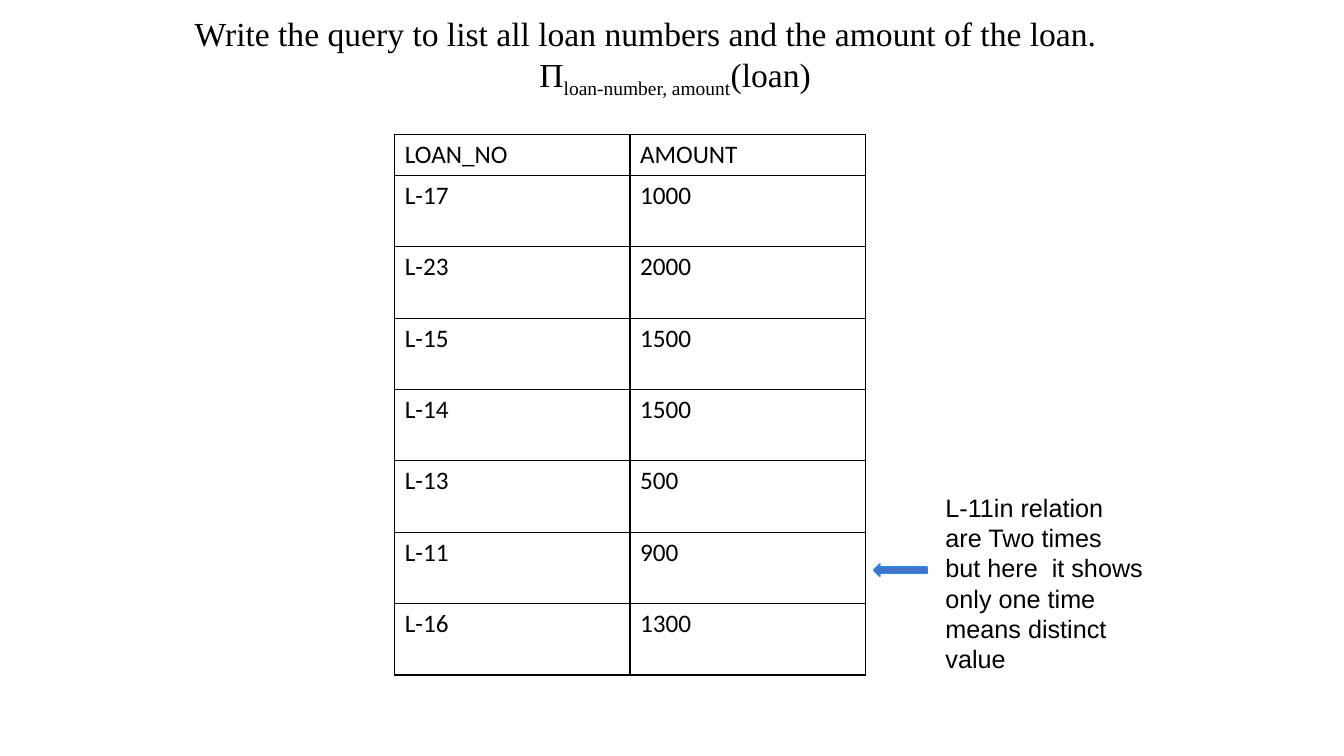
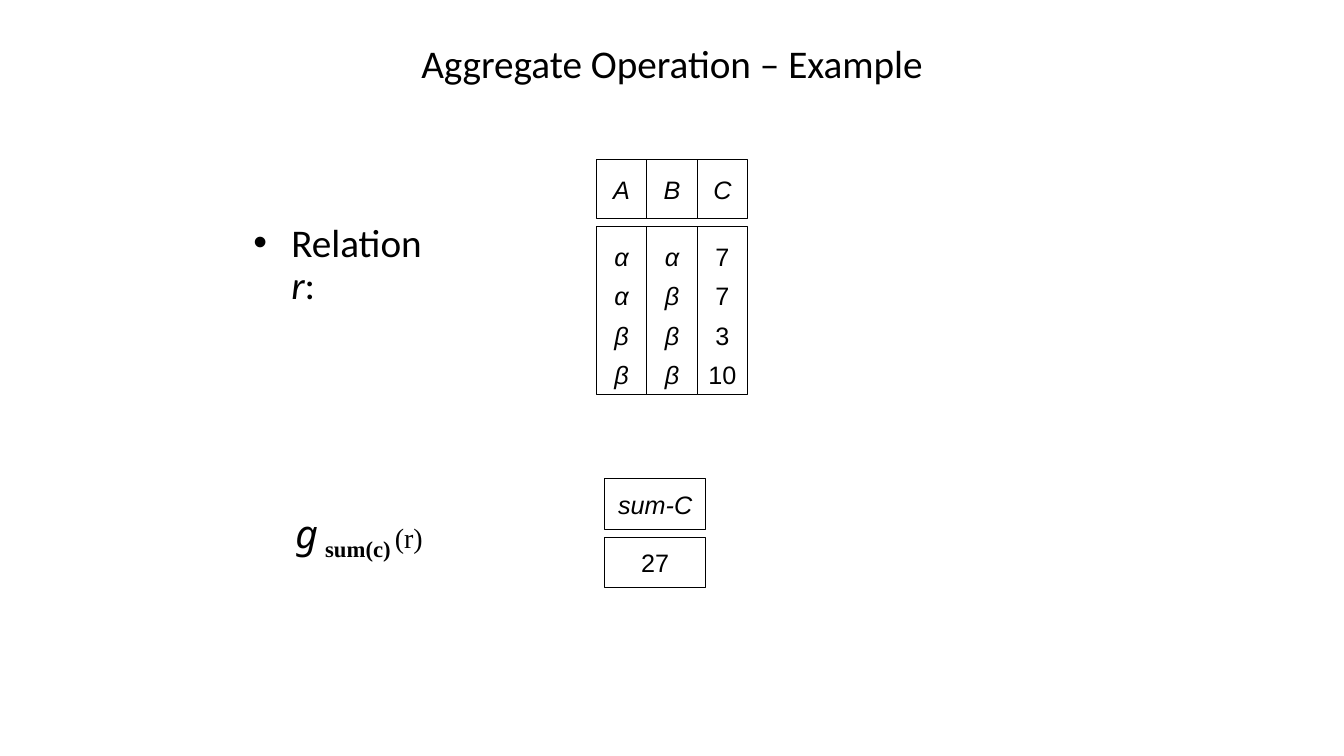
from lxml import etree
from pptx import Presentation
from pptx.dml.color import RGBColor
from pptx.enum.shapes import MSO_SHAPE
from pptx.enum.text import MSO_ANCHOR, PP_ALIGN
from pptx.oxml.ns import qn
from pptx.util import Pt

LEFT, CENTER, JUSTIFY = PP_ALIGN.LEFT, PP_ALIGN.CENTER, PP_ALIGN.JUSTIFY
TOP, MIDDLE = MSO_ANCHOR.TOP, MSO_ANCHOR.MIDDLE
RECT, ARROW = MSO_SHAPE.RECTANGLE, MSO_SHAPE.LEFT_ARROW
BLACK, WHITE, BLUE, EDGE = "000000", "FFFFFF", "4472C4", "2B88E5"
SANS, SERIF, BODY, SCRIPT = "Arial", "Times New Roman", "Calibri", "Noto Sans"
SCALE = 9525  # EMU in one px, 96 px to the inch
GAP = 8
HANG = 36

# A run is text, size, font, then any of: i italic, b bold, s subscript
QUERY = [
    (JUSTIFY, [("Write the query to list all loan numbers and the amount of the loan.",
                24, SERIF, "")]),
    (CENTER, [("Π", 24, SERIF, ""), ("loan-number, amount", 24, SERIF, "s"),
              ("(loan)", 24, SERIF, "")]),
]
LOANS = [
    ("LOAN_NO", "AMOUNT"), ("L-17", "1000"), ("L-23", "2000"), ("L-15", "1500"),
    ("L-14", "1500"), ("L-13", "500"), ("L-11", "900"), ("L-16", "1300"),
]
NOTE = [(LEFT, [("L-11in relation are Two times but here  it shows only one time "
                 "means distinct value", 18, SANS, "")])]

TITLE = [(CENTER, [("Aggregate Operation – Example", 28, BODY, "")])]
LABEL = [(LEFT, [("Relation ", 28, BODY, ""), ("r", 28, BODY, "i"), (":", 28, BODY, "")])]
SUM = [(LEFT, [("g", 28, SCRIPT, "i"), (" ", 20, SERIF, "b"), ("sum(c)", 28, SERIF, "bs"),
               (" ", 20, SERIF, "bs"), ("(r)", 20, SERIF, "")])]
RELATION = [("A", ["α", "α", "β", "β"]), ("B", ["α", "β", "β", "β"]),
            ("C", ["7", "7", "3", "10"])]
RESULT = [("sum-C", ["27"])]


def px(*sizes):
    return [size * SCALE for size in sizes]


def color(code):
    return RGBColor.from_string(code)


def write(frame, paras, space=None):
    for n, (align, runs) in enumerate(paras):
        para = frame.add_paragraph() if n else frame.paragraphs[0]
        para.alignment = align
        if space:
            para.line_spacing = space
        for text, size, face, style in runs:
            run = para.add_run()
            run.text = text
            font = run.font
            font.size, font.name = Pt(size), face
            font.italic, font.bold = "i" in style, "b" in style
            font.color.rgb = color(BLACK)
            if "s" in style:
                run._r.get_or_add_rPr().set("baseline", "-25000")


def add_text(slide, area, paras, anchor=TOP, space=None):
    frame = slide.shapes.add_textbox(*px(*area)).text_frame
    frame.word_wrap = True
    frame.vertical_anchor = anchor
    write(frame, paras, space)
    return frame


def hang(frame, bullet=None):
    """Give the first paragraph a hanging indent and perhaps a bullet."""
    props = frame.paragraphs[0]._p.get_or_add_pPr()
    props.set("marL", str(HANG * SCALE))
    props.set("indent", str(-HANG * SCALE))
    if bullet:
        etree.SubElement(props, qn("a:buFont")).set("typeface", SANS)
        etree.SubElement(props, qn("a:buChar")).set("char", bullet)


def add_shape(slide, kind, area, fill, line, width):
    shape = slide.shapes.add_shape(kind, *px(*area))
    shape.shadow.inherit = False
    shape.fill.solid()
    shape.fill.fore_color.rgb = color(fill)
    shape.line.color.rgb = color(line)
    shape.line.width = Pt(width)
    return shape


def add_box(slide, area, lines, space=None):
    frame = add_shape(slide, RECT, area, WHITE, BLACK, 0.75).text_frame
    frame.word_wrap = False
    frame.vertical_anchor = MIDDLE
    write(frame, [(CENTER, [(text, 18, SANS, "" if text.isdigit() else "i")])
                  for text in lines], space)


def add_grid(slide, left, top, width, head, body, columns):
    """Draw columns side by side, each a head box over a body box."""
    for n, (name, values) in enumerate(columns):
        x = left + n * width
        add_box(slide, (x, top, width, head), [name])
        add_box(slide, (x, top + head + GAP, width, body), values,
                1.3 if len(values) > 1 else None)


def add_border(cell):
    props = cell._tc.get_or_add_tcPr()
    for n, side in enumerate("LRTB"):
        line = etree.Element(qn("a:ln" + side), w=str(Pt(1)))
        fill = etree.SubElement(line, qn("a:solidFill"))
        etree.SubElement(fill, qn("a:srgbClr")).set("val", BLACK)
        props.insert(n, line)


def add_table(slide, left, top, width, head, body, rows):
    count = len(rows[0])
    area = (left, top, width * count, head + body * (len(rows) - 1))
    table = slide.shapes.add_table(len(rows), count, *px(*area)).table
    table.first_row = table.horz_banding = False
    for column in table.columns:
        column.width = width * SCALE
    for r, row in enumerate(rows):
        table.rows[r].height = (body if r else head) * SCALE
        for c, text in enumerate(row):
            cell = table.cell(r, c)
            cell.fill.background()
            add_border(cell)
            write(cell.text_frame, [(LEFT, [(text, 18, BODY, "")])])


def add_loans(slide):
    add_table(slide, 376, 128, 224, 39, 68, LOANS)
    add_text(slide, (176, 8, 934, 87), QUERY)
    add_shape(slide, ARROW, (832, 537, 51, 12), BLUE, EDGE, 1)
    add_text(slide, (891, 464, 207, 184), NOTE)


def add_totals(slide):
    add_text(slide, (232, 0, 816, 120), TITLE, MIDDLE)
    hang(add_text(slide, (232, 208, 188, 51), LABEL, space=0.9), "•")
    add_grid(slide, 568, 152, 48, 56, 160, RELATION)
    hang(add_text(slide, (272, 480, 170, 59), SUM))
    add_grid(slide, 576, 456, 96, 48, 48, RESULT)


def main():
    deck = Presentation()
    deck.slide_width, deck.slide_height = px(1280, 720)
    for build in (add_loans, add_totals):
        build(deck.slides.add_slide(deck.slide_layouts[6]))
    deck.save("out.pptx")


if __name__ == "__main__":
    main()
